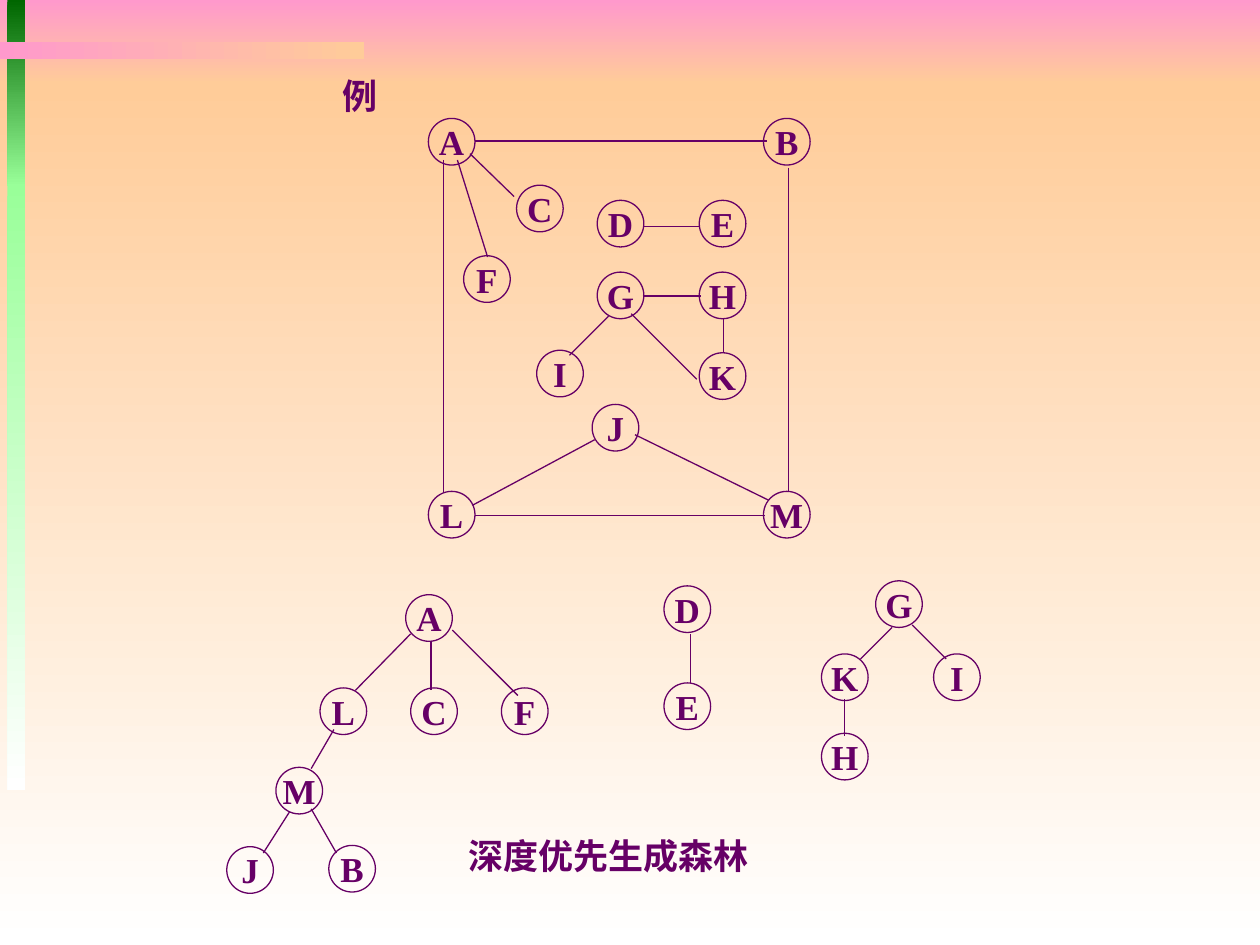
from pptx import Presentation
from pptx.dml.color import RGBColor
from pptx.enum import shapes, text
from pptx.oxml.ns import qn
from pptx.util import Inches, Pt

PLUM = RGBColor(0x66, 0x00, 0x66)
PINK = RGBColor(0xFF, 0x99, 0xCC)
PEACH = RGBColor(0xFF, 0xCC, 0x99)
WHITE = RGBColor(0xFF, 0xFF, 0xFF)
DARK_GREEN = RGBColor(0x00, 0x66, 0x00)
LIGHT_GREEN = RGBColor(0x99, 0xFF, 0x99)

FONT = "Times New Roman"
NODE_SIZE = 0.37
DOWN, RIGHT = 270, 0  # gradient directions, counter-clockwise degrees

TITLE = ("例", (2.62, 0.54, 0.48, 0.44))
CAPTION = ("深度优先生成森林", (3.62, 6.57, 2.42, 0.44))

# (left, top, width, height), first colour, last colour, direction
BACKDROP = [
    ((0, 0, 10, 0.67), PINK, PEACH, DOWN),
    ((0, 0.67, 10, 6.83), PEACH, WHITE, DOWN),
    ((0.06, 0, 0.14, 1.48), DARK_GREEN, LIGHT_GREEN, DOWN),
    ((0.06, 1.46, 0.14, 4.81), LIGHT_GREEN, WHITE, DOWN),
    ((0, 0.33, 2.89, 0.14), PINK, PEACH, RIGHT),
]

# Each diagram: nodes as name -> (left, top), edges as (x1, y1, x2, y2)
GRAPH = {
    "nodes": {
        "A": (3.4, 0.94), "B": (6.06, 0.94), "L": (3.4, 3.9), "M": (6.06, 3.9),
        "C": (4.1, 1.47), "F": (3.68, 2.03), "D": (4.74, 1.59), "E": (5.55, 1.59),
        "G": (4.74, 2.16), "H": (5.55, 2.16), "K": (5.55, 2.8), "I": (4.26, 2.78),
        "J": (4.7, 3.21),
    },
    "edges": [
        (5.1, 1.8, 5.55, 1.8),     # D-E
        (5.1, 2.35, 5.56, 2.35),   # G-H
        (5.74, 2.53, 5.74, 2.8),   # H-K
        (5.01, 2.49, 5.53, 3.01),  # G-K
        (4.83, 2.51, 4.52, 2.82),  # G-I
        (3.73, 1.22, 4.08, 1.56),  # A-C
        (3.63, 1.27, 3.87, 2.04),  # A-F
        (3.77, 1.12, 6.09, 1.12),  # A-B
        (3.52, 1.27, 3.52, 3.91),  # A-L
        (3.77, 4.09, 6.07, 4.09),  # L-M
        (6.26, 1.33, 6.26, 3.9),   # B-M
        (3.75, 4.01, 4.72, 3.49),  # L-J
        (5.04, 3.45, 6.1, 3.97),   # J-M
    ],
}
FOREST = {
    "nodes": {
        "A": (3.22, 4.72), "L": (2.54, 5.46), "C": (3.26, 5.46), "F": (3.98, 5.46),
        "M": (2.19, 6.09), "J": (1.8, 6.72), "B": (2.61, 6.71),
        "D": (5.27, 4.65), "E": (5.27, 5.42),
        "G": (6.95, 4.61), "K": (6.52, 5.19), "I": (7.41, 5.19), "H": (6.52, 5.82),
    },
    "edges": [
        (3.42, 5.09, 3.42, 5.48),  # A-C
        (3.26, 5.03, 2.82, 5.48),  # A-L
        (3.59, 5.0, 4.11, 5.52),   # A-F
        (2.65, 5.79, 2.47, 6.1),   # L-M
        (2.3, 6.44, 2.09, 6.77),   # M-J
        (2.47, 6.42, 2.67, 6.77),  # M-B
        (5.48, 5.03, 5.48, 5.42),  # D-E
        (7.08, 4.98, 6.83, 5.23),  # G-K
        (6.7, 5.55, 6.7, 5.84),    # K-H
        (7.24, 4.96, 7.51, 5.23),  # G-I
    ],
}


def inches(values):
    return [Inches(value) for value in values]


def write(shape, words):
    frame = shape.text_frame
    frame.text = words
    frame.word_wrap = False
    frame.auto_size = text.MSO_AUTO_SIZE.NONE
    frame.vertical_anchor = text.MSO_ANCHOR.MIDDLE
    paragraph = frame.paragraphs[0]
    paragraph.alignment = text.PP_ALIGN.CENTER
    font = paragraph.font
    font.name, font.size, font.bold = FONT, Pt(20), True
    font.color.rgb = PLUM


def add_band(slide, box, first, last, direction):
    band = slide.shapes.add_shape(shapes.MSO_SHAPE.RECTANGLE, *inches(box))
    band.shadow.inherit = False
    band.line.fill.background()
    band.fill.gradient()
    band.fill.gradient_angle = direction
    for stop, colour in zip(band.fill.gradient_stops, (first, last)):
        stop.color.rgb = colour


def add_node(slide, name, left, top):
    node = slide.shapes.add_shape(
        shapes.MSO_SHAPE.OVAL, *inches((left, top, NODE_SIZE, NODE_SIZE)))
    node.shadow.inherit = False
    node.fill.background()
    node.line.color.rgb = PLUM
    node.line.width = Pt(0.75)
    write(node, name)


def add_edge(slide, ends):
    edge = slide.shapes.add_connector(shapes.MSO_CONNECTOR.STRAIGHT, *inches(ends))
    edge.line.color.rgb = PLUM
    edge.line.width = Pt(0.75)
    properties = edge._element.spPr
    properties.append(properties.makeelement(qn("a:effectLst"), {}))


def main():
    deck = Presentation()
    deck.slide_width, deck.slide_height = Inches(10), Inches(7.5)
    slide = deck.slides.add_slide(deck.slide_layouts[5])

    for band in BACKDROP:
        add_band(slide, *band)

    words, box = TITLE
    title = slide.shapes.title
    title.left, title.top, title.width, title.height = inches(box)
    write(title, words)
    slide.shapes._spTree.append(title._element)  # in front of the backdrop

    for diagram in (GRAPH, FOREST):
        for name, corner in diagram["nodes"].items():
            add_node(slide, name, *corner)
        for ends in diagram["edges"]:
            add_edge(slide, ends)

    words, box = CAPTION
    write(slide.shapes.add_textbox(*inches(box)), words)

    deck.save("out.pptx")


if __name__ == "__main__":
    main()
